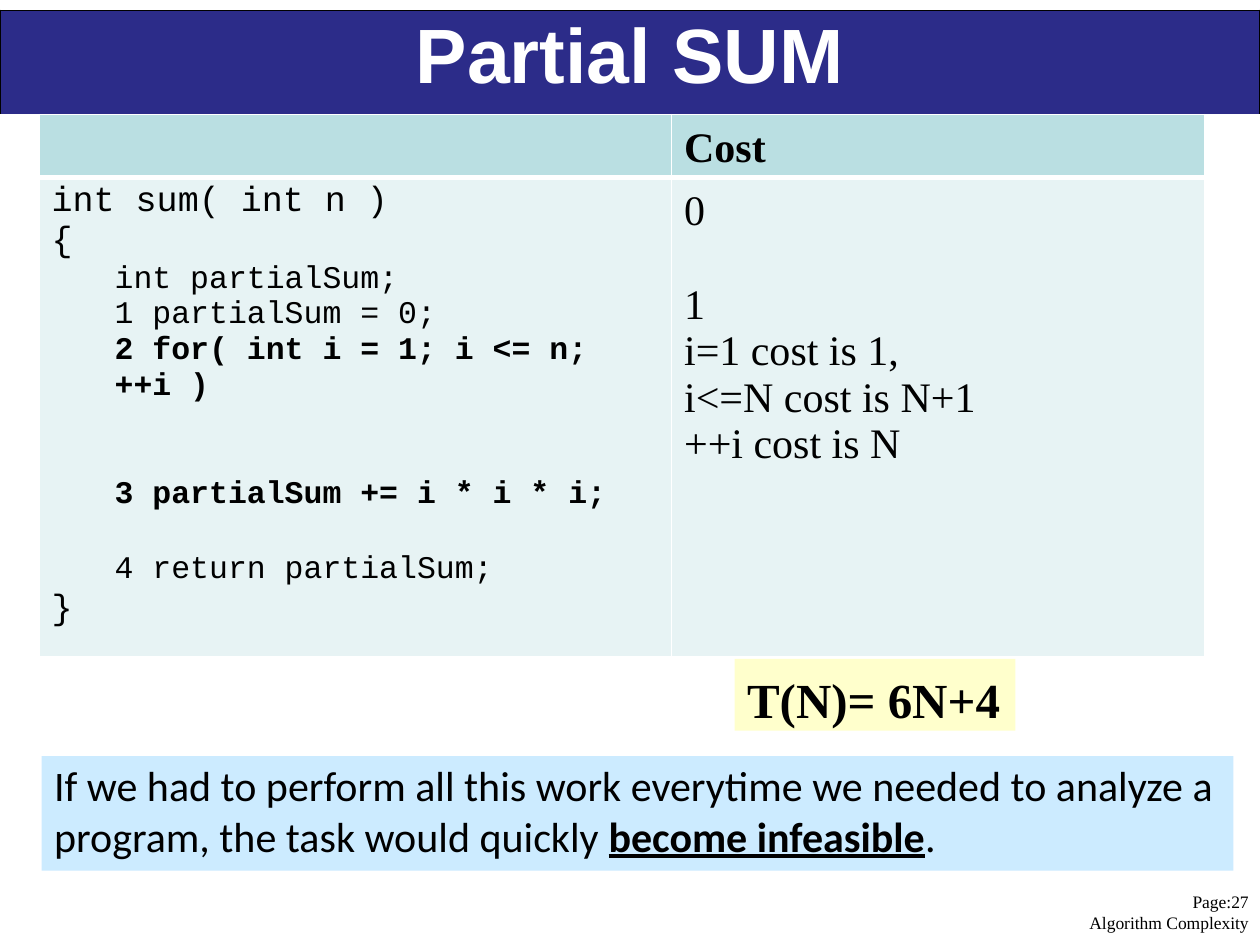
import pptx
import pptx.dml.color
import pptx.enum.shapes
import pptx.enum.text
import pptx.oxml.ns
import pptx.util
from lxml import etree
from pptx.util import Inches

ALIGN = pptx.enum.text.PP_ALIGN
CODE, SERIF = "Courier New", "Times New Roman"


def rgb(value):
    """Return the colour of a hex string."""
    return pptx.dml.color.RGBColor.from_string(value)


def add_child(parent, tag, **attrs):
    """Append a DrawingML element and return it."""
    names = {k: str(v) for k, v in attrs.items()}
    return etree.SubElement(parent, pptx.oxml.ns.qn(tag), names)


def add_run(p, text, size, font, color="000000", bold=False, underline=False):
    """Add one formatted run to a paragraph."""
    r = p.add_run()
    r.text = text
    r.font.size = pptx.util.Pt(size)
    r.font.name = font
    r.font.color.rgb = rgb(color)
    r.font.bold = bold
    r.font.underline = underline


def add_paragraph(tf, left=0.1, hang=0, before=0, line=None, align=ALIGN.LEFT, number=None):
    """Start a paragraph, reusing the first one while it is empty."""
    first = tf.paragraphs[0]
    p = tf.add_paragraph() if first.runs else first
    p.alignment = align
    p.space_before = pptx.util.Pt(before)
    if line:
        p.line_spacing = pptx.util.Pt(line)
    pPr = p._p.get_or_add_pPr()
    pPr.set("marL", str(Inches(left)))
    pPr.set("indent", str(Inches(-hang)))
    if number:
        add_child(pPr, "a:buAutoNum", type="arabicPlain", startAt=number)
    return p


def set_insets(target, top=0):
    """Remove the margins of a cell or text frame except the top one."""
    target.margin_left = target.margin_right = target.margin_bottom = 0
    target.margin_top = Inches(top)


def set_borders(cell, **sides):
    """Draw cell borders given as side=(colour, points)."""
    tcPr = cell._tc.get_or_add_tcPr()
    for i, side in enumerate(s for s in "LRTB" if s in sides):
        color, width = sides[side]
        ln = etree.Element(pptx.oxml.ns.qn("a:ln" + side), w=str(pptx.util.Pt(width)))
        add_child(add_child(ln, "a:solidFill"), "a:srgbClr", val=color)
        tcPr.insert(i, ln)


def style_cell(cell, fill, top):
    """Fill a cell and set its insets."""
    cell.fill.solid()
    cell.fill.fore_color.rgb = rgb(fill)
    set_insets(cell, top)
    return cell.text_frame


def add_box(s, left, top, width, height, fill):
    """Add a plain filled rectangle."""
    sp = s.shapes.add_shape(pptx.enum.shapes.MSO_SHAPE.RECTANGLE,
                            Inches(left), Inches(top), Inches(width), Inches(height))
    sp.shadow.inherit = False
    sp.fill.solid()
    sp.fill.fore_color.rgb = rgb(fill)
    sp.line.fill.background()
    return sp


def add_code(tf):
    """Write the numbered listing."""
    lines = [
        ("int sum( int n )", 20, False, {}),
        ("{", 20, False, {}),
        ("int partialSum;", 18, False, {"left": 0.6}),
        ("partialSum = 0;", 18, False, {"number": 1}),
        ("for( int i = 1; i <= n;", 18, True, {"number": 1}),
        ("++i )", 18, True, {"left": 0.6}),
        ("partialSum += i * i * i;", 18, True, {"number": 3, "before": 41.3}),
        ("return partialSum;", 18, False, {"number": 3, "before": 21.4, "line": 21.5}),
        ("}", 20, False, {"line": 23.9}),
    ]
    for text, size, bold, layout in lines:
        if "number" in layout:
            layout = {"left": 0.9, "hang": 0.3, **layout}
        add_run(add_paragraph(tf, **layout), text, size, CODE, bold=bold)


def add_costs(tf):
    """Write the cost of each step."""
    for text, before in (("0", 0), ("1", 27.3)):
        add_run(add_paragraph(tf, before=before), text, 24, SERIF)
    p = add_paragraph(tf)
    add_run(p, "i=1 cost is 1,", 24, SERIF)
    p.add_line_break()
    add_run(p, "i<=N cost is N+1", 24, SERIF)
    add_run(add_paragraph(tf), "++i cost is N", 24, SERIF)


def add_cost_table(s):
    """Add the table with the title band, code and costs."""
    widths, heights = [0.31, 5.02, 4.23, 0.44], [0.83, 0.5, 3.8]
    frame = s.shapes.add_table(len(heights), len(widths), Inches(0), Inches(0.08),
                               Inches(sum(widths)), Inches(sum(heights)))
    table = frame.table
    table.first_row = table.horz_banding = False
    for col, width in zip(table.columns, widths):
        col.width = Inches(width)
    for row, height in zip(table.rows, heights):
        row.height = Inches(height)

    title = table.cell(0, 0)
    title.merge(table.cell(0, 3))
    tf = style_cell(title, "2C2C89", 0)
    p = add_paragraph(tf, left=0, line=51.6, align=ALIGN.CENTER)
    add_run(p, "Partial SUM", 44, "Arial", "FFFFFF", bold=True)
    black, thin, thick = ("000000", 0.75), ("FFFFFF", 1), ("FFFFFF", 3)
    set_borders(title, L=black, R=black, T=black, B=thin)

    for col in (0, 3):
        side = table.cell(1, col)
        side.merge(table.cell(2, col))
        side.fill.background()

    for col in (1, 2):
        tf = style_cell(table.cell(1, col), "BADFE2", 0.08)
        set_borders(table.cell(1, col), L=thin, R=thin, T=thin, B=thick)
    add_run(add_paragraph(tf), "Cost", 24, SERIF, bold=True)

    for col, top, write in ((1, 0.04, add_code), (2, 0.08, add_costs)):
        write(style_cell(table.cell(2, col), "E7F3F4", top))
        set_borders(table.cell(2, col), L=thin, R=thin, T=thick, B=thin)


def add_total(s):
    """Add the box with the total cost."""
    sp = add_box(s, 5.83, 5.23, 2.23, 0.57, "FFFFCC")
    tf = sp.text_frame
    tf.word_wrap = True
    tf.vertical_anchor = pptx.enum.text.MSO_ANCHOR.TOP
    set_insets(tf, 0.08)
    add_run(add_paragraph(tf), "T(N)= 6N+4", 28, SERIF, bold=True)


def add_conclusion(s):
    """Add the closing remark and the page line under it."""
    add_box(s, 0.33, 6, 9.46, 0.91, "CCEBFF")
    tb = s.shapes.add_textbox(Inches(0.42), Inches(6.1), Inches(9.54), Inches(1.33))
    tf = tb.text_frame
    tf.word_wrap = True
    set_insets(tf)
    p = add_paragraph(tf, left=0.01, line=23.8)
    add_run(p, "If we had to perform all this work everytime we needed to analyze a", 24, "Calibri")
    p = add_paragraph(tf, left=0.01)
    add_run(p, "program, the task would quickly ", 24, "Calibri")
    add_run(p, "become infeasible", 24, "Calibri", bold=True, underline=True)
    add_run(p, ".", 24, "Calibri")
    tf.margin_right = Inches(0.05)
    p = add_paragraph(tf, left=0, before=17.6, align=ALIGN.RIGHT)
    add_run(p, "Page:27", 10, SERIF)
    p.add_line_break()
    add_run(p, "Algorithm Complexity", 10, SERIF)


def main():
    """Build the slide and save it."""
    prs = pptx.Presentation()
    prs.slide_width, prs.slide_height = Inches(10), Inches(7.5)
    s = prs.slides.add_slide(prs.slide_layouts[6])
    add_cost_table(s)
    add_total(s)
    add_conclusion(s)
    prs.save("out.pptx")


if __name__ == "__main__":
    main()
